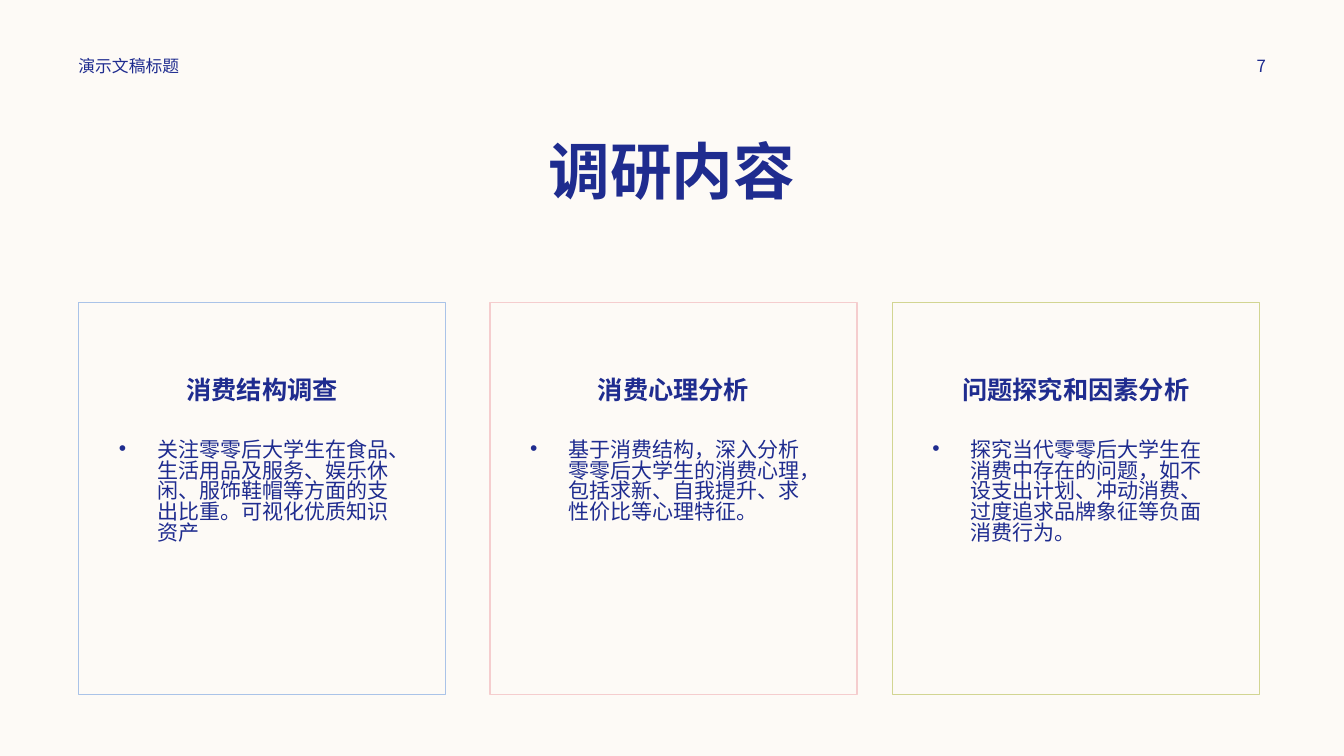
"""Build the research-content slide with three outlined topic cards."""
from lxml import etree
from pptx import Presentation
from pptx import util as u
from pptx.dml.color import RGBColor
from pptx.enum import shapes, text
from pptx.oxml.ns import qn

PX = 9144
THEME = {
    "font": "Noto Sans CJK SC",
    "ink": "1F2C8F",
    "paper": "FDFAF6",
    "title": 44,
    "heading": 18,
    "body": 15,
    "small": 12,
}
CENTER, LEFT = text.PP_ALIGN.CENTER, text.PP_ALIGN.LEFT
TOP, MIDDLE = text.MSO_ANCHOR.TOP, text.MSO_ANCHOR.MIDDLE


def px(*lengths):
    return [u.Emu(length * PX) for length in lengths]


def write(shape, words, size, align=LEFT, anchor=TOP, bold=False, spacing=0.9):
    frame = shape.text_frame
    frame.text = words
    frame.word_wrap = True
    frame.auto_size = text.MSO_AUTO_SIZE.NONE
    frame.vertical_anchor = anchor
    paragraph = frame.paragraphs[0]
    paragraph.alignment = align
    paragraph.line_spacing = spacing
    font = paragraph.runs[0].font
    font.name = THEME["font"]
    font.size = u.Pt(THEME[size])
    font.bold = bold
    font.color.rgb = RGBColor.from_string(THEME["ink"])
    east_asian = etree.Element(qn("a:ea"), typeface=THEME["font"])
    paragraph.runs[0]._r.rPr.find(qn("a:latin")).addnext(east_asian)
    return paragraph


deck = Presentation()
deck.slide_width, deck.slide_height = px(1333, 750)
slide = deck.slides.add_slide(deck.slide_layouts[5])
slide.background.fill.solid()
slide.background.fill.fore_color.rgb = RGBColor.from_string(THEME["paper"])

title = slide.shapes.title
title.left, title.top, title.width, title.height = px(83, 135, 1167, 84)
write(title, "调研内容", "title", CENTER, bold=True)

for left, width, words, align in [
    (68, 350, "演示文稿标题", LEFT),
    (1197, 108, "7", CENTER),
]:
    header = slide.shapes.add_textbox(*px(left, 50, width, 30))
    write(header, words, "small", align, MIDDLE, spacing=1.0)

topics = [
    (78, "AAC3E8", "消费结构调查",
     "关注零零后大学生在食品、生活用品及服务、娱乐休闲、服饰鞋帽等方面的支出比重。可视化优质知识资产"),
    (486, "F5CDCE", "消费心理分析",
     "基于消费结构，深入分析零零后大学生的消费心理，包括求新、自我提升、求性价比等心理特征。"),
    (885, "D2D592", "问题探究和因素分析",
     "探究当代零零后大学生在消费中存在的问题，如不设支出计划、冲动消费、过度追求品牌象征等负面消费行为。"),
]
for left, outline, heading, details in topics:
    card = slide.shapes.add_shape(
        shapes.MSO_SHAPE.RECTANGLE, *px(left, 300, 364, 389))
    card.shadow.inherit = False
    card.fill.background()
    card.line.color.rgb = RGBColor.from_string(outline)
    card.line.width = u.Pt(1)
    card.text_frame.margin_top = u.Emu(75 * PX)
    write(card, heading, "heading", CENTER, bold=True)

    description = slide.shapes.add_textbox(*px(left + 30, 432, 303, 241))
    bullet = write(description, details, "body", spacing=0.83)
    properties = bullet._p.get_or_add_pPr()
    properties.set("marL", str(38 * PX))
    properties.set("indent", str(-38 * PX))
    etree.SubElement(properties, qn("a:buFont"), typeface="Arial")
    etree.SubElement(properties, qn("a:buChar"), char="•")

deck.save("out.pptx")
